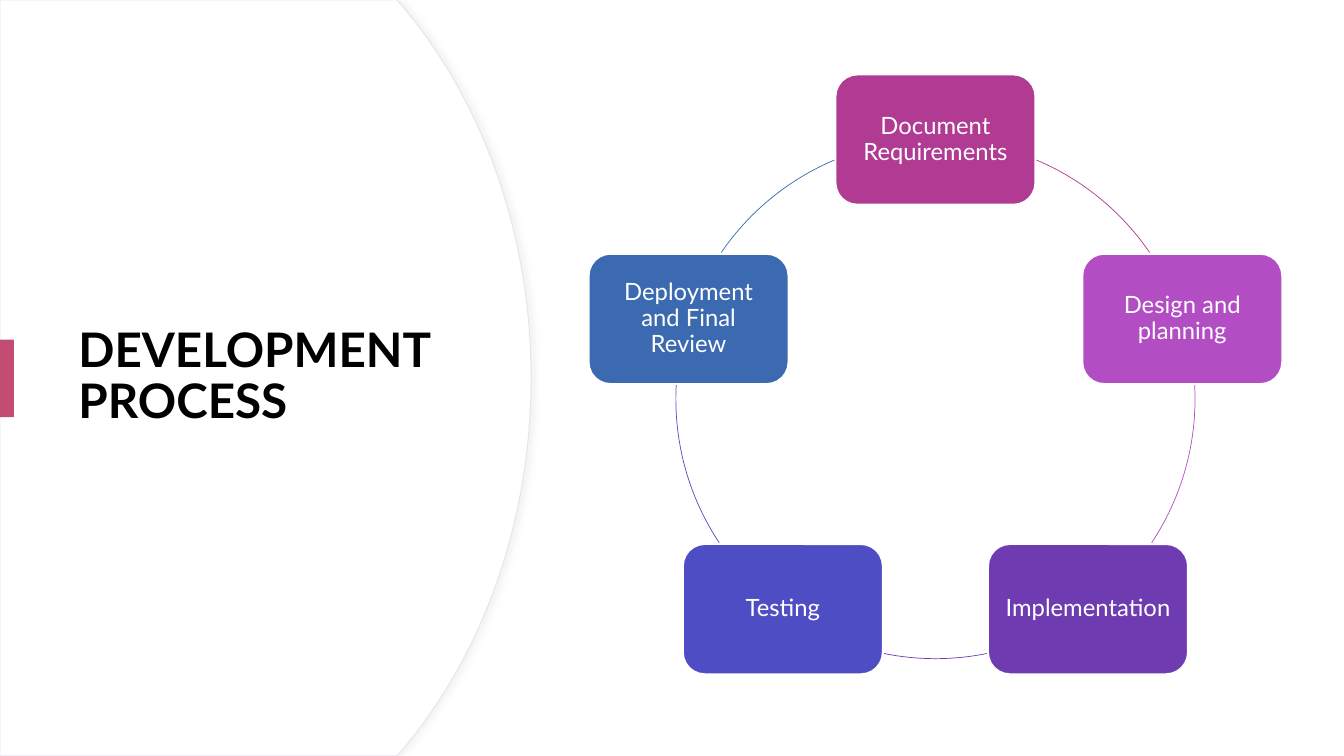
"""Build the development process slide with its five-step cycle."""
import math
from dataclasses import dataclass

from lxml import etree
from pptx import Presentation
from pptx.dml.color import RGBColor
from pptx.enum import shapes, text
from pptx.oxml import ns
from pptx.util import Pt


@dataclass(frozen=True)
class Theme:
    """Colours, font and type sizes of the slide."""
    font: str = "Lato"
    title_size: float = 34
    step_size: float = 17
    paper: str = "FFFFFF"
    ink: str = "000000"
    accent: str = "C34D72"
    panel_edge: str = "E9E3EF"
    panel_shadow: str = "D9D9D9"


THEME = Theme()
SLIDE_WIDTH, SLIDE_HEIGHT = 960, 540
CENTRE_X, CENTRE_Y, RADIUS = 668.2, 285.1, 185.4
STEP_WIDTH, STEP_HEIGHT = 142.4, 92.6
STEPS = [
    ("Document Requirements", "B13B92", 292.9, 325.6),
    ("Design and planning", "B24DC3", 356.9, 33.6),
    ("Implementation", "6E3BB1", 78.6, 101.4),
    ("Testing", "4F4DC3", 146.4, 183.1),
    ("Deployment and Final Review", "3B6AB1", 214.4, 247.1),
]


def paint(shape, fill=None, edge=None, edge_width=1):
    """Set fill and outline, and remove the shadow."""
    shape.shadow.inherit = False
    if fill:
        shape.fill.solid()
        shape.fill.fore_color.rgb = RGBColor.from_string(fill)
    else:
        shape.fill.background()
    if edge:
        shape.line.color.rgb = RGBColor.from_string(edge)
        shape.line.width = Pt(edge_width)
    else:
        shape.line.fill.background()


def write(shape, words, size, colour, align, bold=False):
    """Put one vertically centred paragraph into a shape."""
    frame = shape.text_frame
    frame.word_wrap = True
    frame.vertical_anchor = text.MSO_ANCHOR.MIDDLE
    paragraph = frame.paragraphs[0]
    paragraph.text = words
    paragraph.alignment = align
    paragraph.line_spacing = 0.9
    paragraph.font.name = THEME.font
    paragraph.font.size = Pt(size)
    paragraph.font.bold = bold
    paragraph.font.color.rgb = RGBColor.from_string(colour)


def cast_shadow(shape, colour):
    """Add a faint shadow to the right of a shape."""
    effects = shape._element.spPr.find(ns.qn("a:effectLst"))
    shadow = etree.SubElement(effects, ns.qn("a:outerShdw"), blurRad=str(Pt(4)),
                              dist=str(Pt(3)), dir="0", algn="l", rotWithShape="0")
    tint = etree.SubElement(shadow, ns.qn("a:srgbClr"), val=colour)
    etree.SubElement(tint, ns.qn("a:alpha"), val="30000")


def bezier(start, control_1, control_2, end, count=40):
    """Return evenly stepped points on a cubic curve."""
    def blend(a, b, c, d, t):
        s = 1 - t
        return a * s ** 3 + 3 * b * s * s * t + 3 * c * s * t * t + d * t ** 3
    return [tuple(blend(*axis, i / count) for axis in zip(start, control_1, control_2, end))
            for i in range(count + 1)]


def add_panel(slide):
    """Draw the title panel with its bulging right edge."""
    upper = [(283.7, 0)] + bezier((288.7, 5.8), (344.9, 73.4), (379.4, 167), (379.4, 270))
    lower = [(x, SLIDE_HEIGHT - y) for x, y in reversed(upper[:-1])]
    outline = upper + lower + [(0, SLIDE_HEIGHT)]
    builder = slide.shapes.build_freeform(0, 0)
    builder.add_line_segments([(Pt(x), Pt(y)) for x, y in outline], close=True)
    panel = builder.convert_to_shape()
    paint(panel, THEME.paper, THEME.panel_edge, 0.75)
    cast_shadow(panel, THEME.panel_shadow)


def add_title(slide, words):
    """Add the heading and the accent bar beside it."""
    title = slide.shapes.add_textbox(Pt(49), Pt(91.4), Pt(283.7), Pt(356.4))
    write(title, words, THEME.title_size, THEME.ink, text.PP_ALIGN.LEFT, bold=True)
    bar = slide.shapes.add_shape(shapes.MSO_SHAPE.RECTANGLE, 0, Pt(242.6), Pt(10), Pt(55.4))
    paint(bar, THEME.accent)


def add_step(slide, angle, words, colour):
    """Add one step box centred on the cycle at an angle."""
    left = CENTRE_X + RADIUS * math.cos(angle) - STEP_WIDTH / 2
    top = CENTRE_Y + RADIUS * math.sin(angle) - STEP_HEIGHT / 2
    step = slide.shapes.add_shape(shapes.MSO_SHAPE.ROUNDED_RECTANGLE, Pt(left), Pt(top),
                                  Pt(STEP_WIDTH), Pt(STEP_HEIGHT))
    paint(step, colour, THEME.paper)
    frame = step.text_frame
    frame.margin_left = frame.margin_right = Pt(5)
    frame.margin_top = frame.margin_bottom = Pt(5)
    write(step, words, THEME.step_size, THEME.paper, text.PP_ALIGN.CENTER)


def add_link(slide, start, end, colour):
    """Add the arc that leads from one step to the next, in degrees."""
    link = slide.shapes.add_shape(shapes.MSO_SHAPE.ARC, Pt(CENTRE_X - RADIUS),
                                  Pt(CENTRE_Y - RADIUS), Pt(2 * RADIUS), Pt(2 * RADIUS))
    link.adjustments[0] = start * 0.6
    link.adjustments[1] = end * 0.6
    paint(link, edge=colour, edge_width=0.5)


def main():
    """Assemble and save the slide."""
    deck = Presentation()
    deck.slide_width, deck.slide_height = Pt(SLIDE_WIDTH), Pt(SLIDE_HEIGHT)
    slide = deck.slides.add_slide(deck.slide_layouts[6])
    add_panel(slide)
    add_title(slide, "DEVELOPMENT PROCESS")
    for index, (words, colour, start, end) in enumerate(STEPS):
        add_step(slide, math.tau * index / len(STEPS) - math.pi / 2, words, colour)
        add_link(slide, start, end, colour)
    deck.save("out.pptx")


if __name__ == "__main__":
    main()
